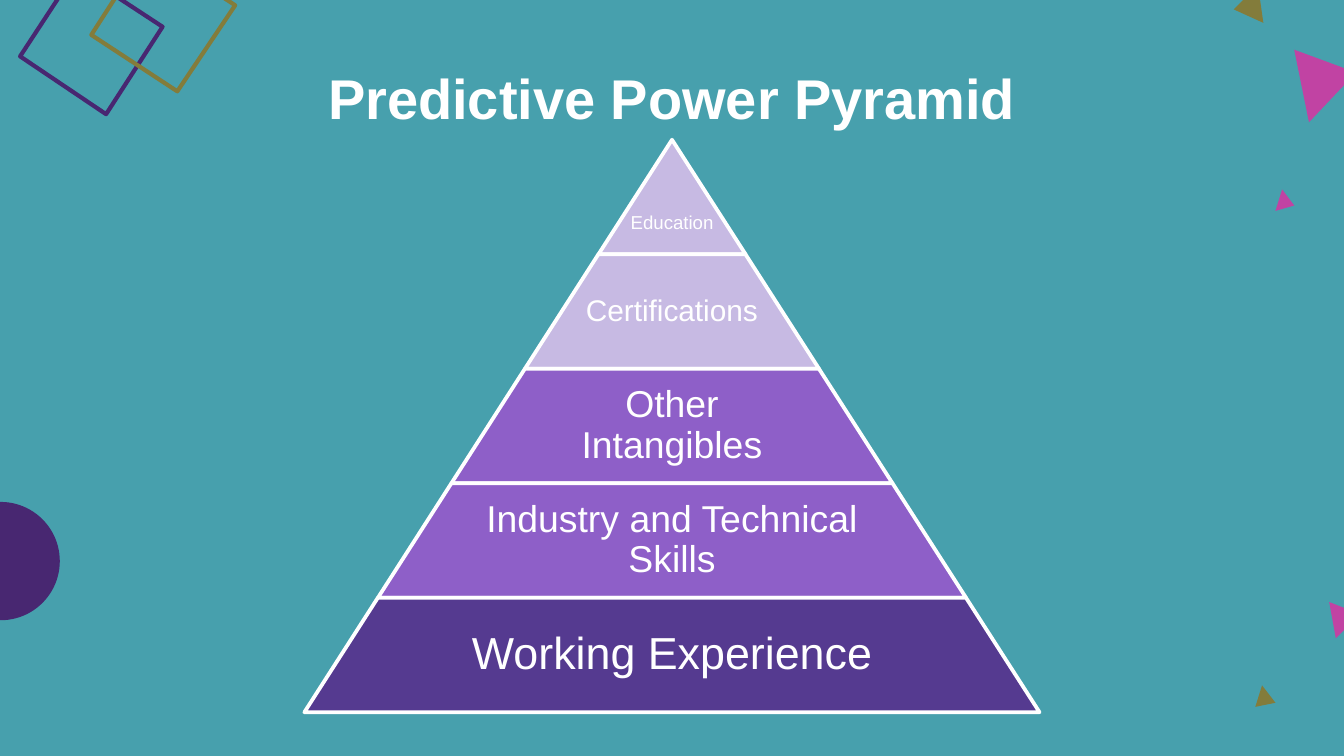
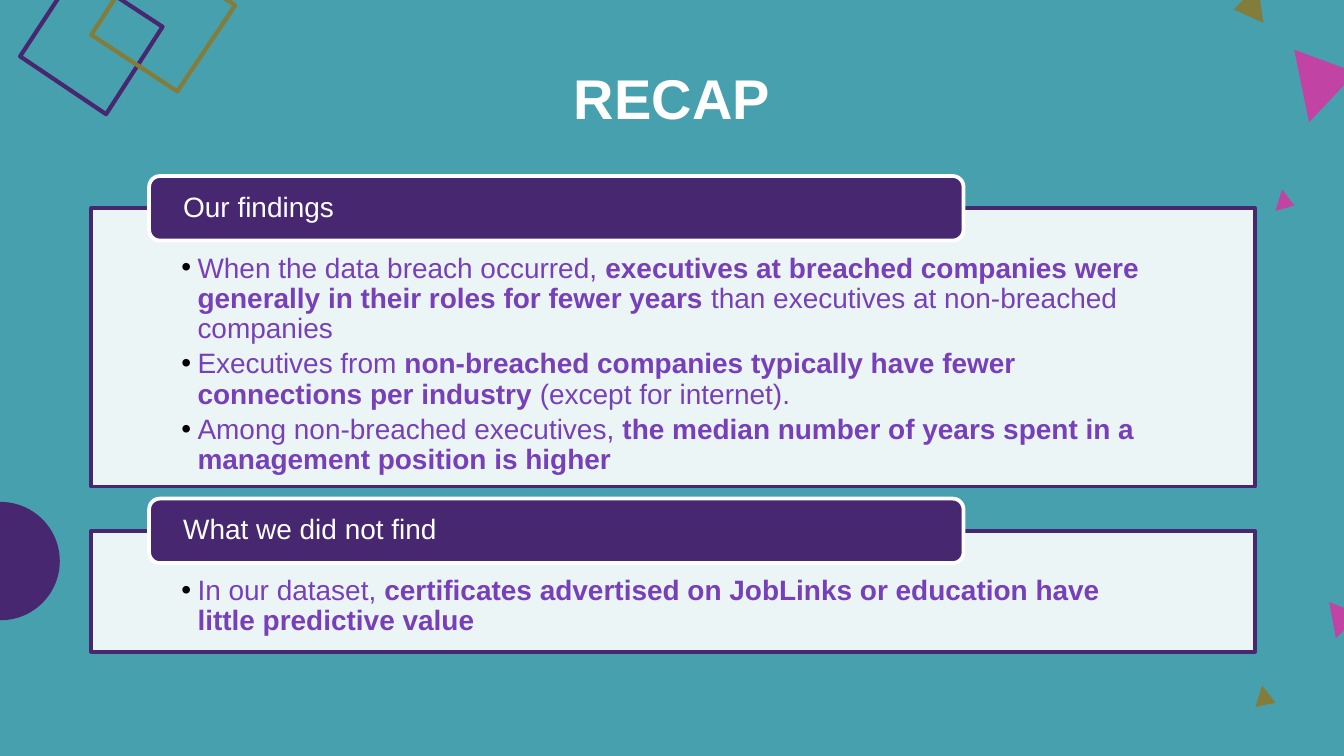
from lxml.etree import SubElement
from pptx import Presentation
from pptx.dml.color import RGBColor
from pptx.enum.shapes import MSO_SHAPE as SHAPE
from pptx.enum.text import MSO_ANCHOR as ANCHOR, PP_ALIGN as ALIGN
from pptx.oxml.ns import qn
from pptx.util import Pt

PX = 9144
FONT = "Arial"
TEAL, WHITE, BLACK = "47A0AD", "FFFFFF", "000000"
INDIGO, PINK, OLIVE = "482771", "C143A3", "837C3B"
LILAC, VIOLET, GRAPE, BODY = "C7BAE3", "8E5FC8", "553A90", "7740BA"

SQUARES = [
    (INDIGO, [(79, 85), (15, 42), (57, -22), (121, 20)]),
    (OLIVE, [(132, 68), (68, 26), (110, -39), (175, 4)]),
]
TRIANGLES = [
    (PINK, [(1009, 54), (974, 91), (963, 37)]),
    (PINK, [(963, 153), (949, 157), (954, 141)]),
    (PINK, [(1012, 457), (994, 475), (989, 448)]),
    (OLIVE, [(949, 523), (934, 526), (939, 510)]),
    (OLIVE, [(940, 17), (918, 7), (936, -11)]),
]
CIRCLE = (-43, 374, 87, 87)
TITLE = (67, 41, 866, 63)

PYRAMID_TITLE = "Predictive Power Pyramid"
TIERS = [
    ("Education", LILAC, 10),
    ("Certifications", LILAC, 16),
    ("Other Intangibles", VIOLET, 20),
    ("Industry and Technical Skills", VIOLET, 20),
    ("Working Experience", GRAPE, 24),
]
PYRAMID_CENTER, PYRAMID_TOP, PYRAMID_WIDTH, PYRAMID_HEIGHT = 500, 104, 547, 426
LABEL_SHARE = 0.65

RECAP_TITLE = "RECAP"
PANELS = [
    ("Our findings", 207, [
        [("When the data breach occurred, ", False),
         ("executives at breached companies were generally in their roles for fewer years ", True),
         ("than executives at non-breached companies", False)],
        [("Executives from ", False),
         ("non-breached companies typically have fewer connections per industry ", True),
         ("(except for internet).", False)],
        [("Among non-breached executives, ", False),
         ("the median number of years spent in a management position is higher", True)],
    ]),
    ("What we did not find", 90, [
        [("In our dataset, ", False),
         ("certificates advertised on JobLinks or education have little predictive value", True)],
    ]),
]
PANEL_LEFT, PANEL_TOP, PANEL_WIDTH, PANEL_GAP = 68, 155, 866, 33
HEADER_LEFT, HEADER_WIDTH, HEADER_HEIGHT = 111, 606, 48
BULLET_INDENT = 12


def color(value):
    return RGBColor.from_string(value)


def emu(*lengths):
    return [round(length * PX) for length in lengths]


def paint(shape, fill=None, line=None, width=2):
    shape.shadow.inherit = False
    if fill:
        shape.fill.solid()
        shape.fill.fore_color.rgb = color(fill)
    else:
        shape.fill.background()
    if line:
        shape.line.color.rgb = color(line)
        shape.line.width = Pt(width)
    else:
        shape.line.fill.background()
    return shape


def add_polygon(slide, points, **style):
    builder = slide.shapes.build_freeform(*points[0], scale=PX)
    builder.add_line_segments(points[1:], close=True)
    return paint(builder.convert_to_shape(), **style)


def set_frame(shape, insets, anchor):
    frame = shape.text_frame
    frame.word_wrap = True
    frame.vertical_anchor = anchor
    frame.margin_left, frame.margin_top, frame.margin_right, frame.margin_bottom = emu(*insets)
    return frame


def style_run(run, size, value, bold=False):
    run.font.name = FONT
    run.font.size = Pt(size)
    run.font.bold = bold
    run.font.color.rgb = color(value)


def write_line(shape, text, size, insets, align, anchor=ANCHOR.MIDDLE, bold=False, spacing=0.9):
    frame = set_frame(shape, insets, anchor)
    frame.text = text
    paragraph = frame.paragraphs[0]
    paragraph.alignment = align
    paragraph.line_spacing = spacing
    style_run(paragraph.runs[0], size, WHITE, bold)


def add_bullet(paragraph):
    properties = paragraph._p.get_or_add_pPr()
    properties.set("marL", str(BULLET_INDENT * PX))
    properties.set("indent", str(-BULLET_INDENT * PX))
    bullet_color = SubElement(properties, qn("a:buClr"))
    SubElement(bullet_color, qn("a:srgbClr"), val=BLACK)
    SubElement(properties, qn("a:buFont"), typeface=FONT)
    SubElement(properties, qn("a:buChar"), char="•")


def write_bullets(shape, bullets):
    frame = set_frame(shape, (67, 34, 67, 12), ANCHOR.TOP)
    for index, parts in enumerate(bullets):
        paragraph = frame.add_paragraph() if index else frame.paragraphs[0]
        paragraph.level = 1
        paragraph.alignment = ALIGN.LEFT
        paragraph.line_spacing = 0.9
        paragraph.space_after = Pt(2.6)
        add_bullet(paragraph)
        for text, bold in parts:
            run = paragraph.add_run()
            run.text = text
            style_run(run, 15, BODY, bold)


def add_slide(presentation, title):
    slide = presentation.slides.add_slide(presentation.slide_layouts[5])
    for line, points in SQUARES:
        add_polygon(slide, points, line=line, width=2.25)
    circle = slide.shapes.add_shape(SHAPE.OVAL, *emu(*CIRCLE))
    paint(circle, INDIGO, INDIGO, 0.75)
    for fill, points in TRIANGLES:
        add_polygon(slide, points, fill=fill)
    heading = slide.shapes.title
    heading.left, heading.top, heading.width, heading.height = emu(*TITLE)
    write_line(heading, title, 30, (10, 10, 10, 10), ALIGN.CENTER, bold=True, spacing=1.0)
    return slide


def add_pyramid(slide):
    height = PYRAMID_HEIGHT / len(TIERS)
    step = PYRAMID_WIDTH / len(TIERS)
    for index, (text, fill, size) in enumerate(TIERS):
        top = PYRAMID_TOP + index * height
        width = step * (index + 1)
        tier = slide.shapes.add_shape(
            SHAPE.TRAPEZOID, *emu(PYRAMID_CENTER - width / 2, top, width, height))
        tier.adjustments[0] = step / 2 / height
        paint(tier, fill, WHITE)

        is_peak = index == 0
        label_width = width if is_peak else width * LABEL_SHARE
        label = slide.shapes.add_textbox(
            *emu(PYRAMID_CENTER - label_width / 2, top, label_width, height))
        insets = (1, 1, 1, 17) if is_peak else (3, 3, 3, 3)
        anchor = ANCHOR.BOTTOM if is_peak else ANCHOR.MIDDLE
        write_line(label, text, size, insets, ALIGN.CENTER, anchor)


def add_panels(slide):
    top = PANEL_TOP
    for heading, height, bullets in PANELS:
        panel = slide.shapes.add_shape(
            SHAPE.RECTANGLE, *emu(PANEL_LEFT, top, PANEL_WIDTH, height))
        paint(panel, WHITE, INDIGO)
        fill_color = panel._element.spPr.find(qn("a:solidFill")).find(qn("a:srgbClr"))
        SubElement(fill_color, qn("a:alpha"), val="90000")
        write_bullets(panel, bullets)

        header = slide.shapes.add_shape(
            SHAPE.ROUNDED_RECTANGLE,
            *emu(HEADER_LEFT, top - HEADER_HEIGHT / 2, HEADER_WIDTH, HEADER_HEIGHT))
        paint(header, INDIGO, WHITE)
        write_line(header, heading, 15, (23, 0, 23, 0), ALIGN.LEFT)
        top += height + PANEL_GAP


def main():
    presentation = Presentation()
    presentation.slide_width, presentation.slide_height = emu(1000, 562.5)
    background = presentation.slide_master.background.fill
    background.solid()
    background.fore_color.rgb = color(TEAL)
    add_pyramid(add_slide(presentation, PYRAMID_TITLE))
    add_panels(add_slide(presentation, RECAP_TITLE))
    presentation.save("out.pptx")


if __name__ == "__main__":
    main()
